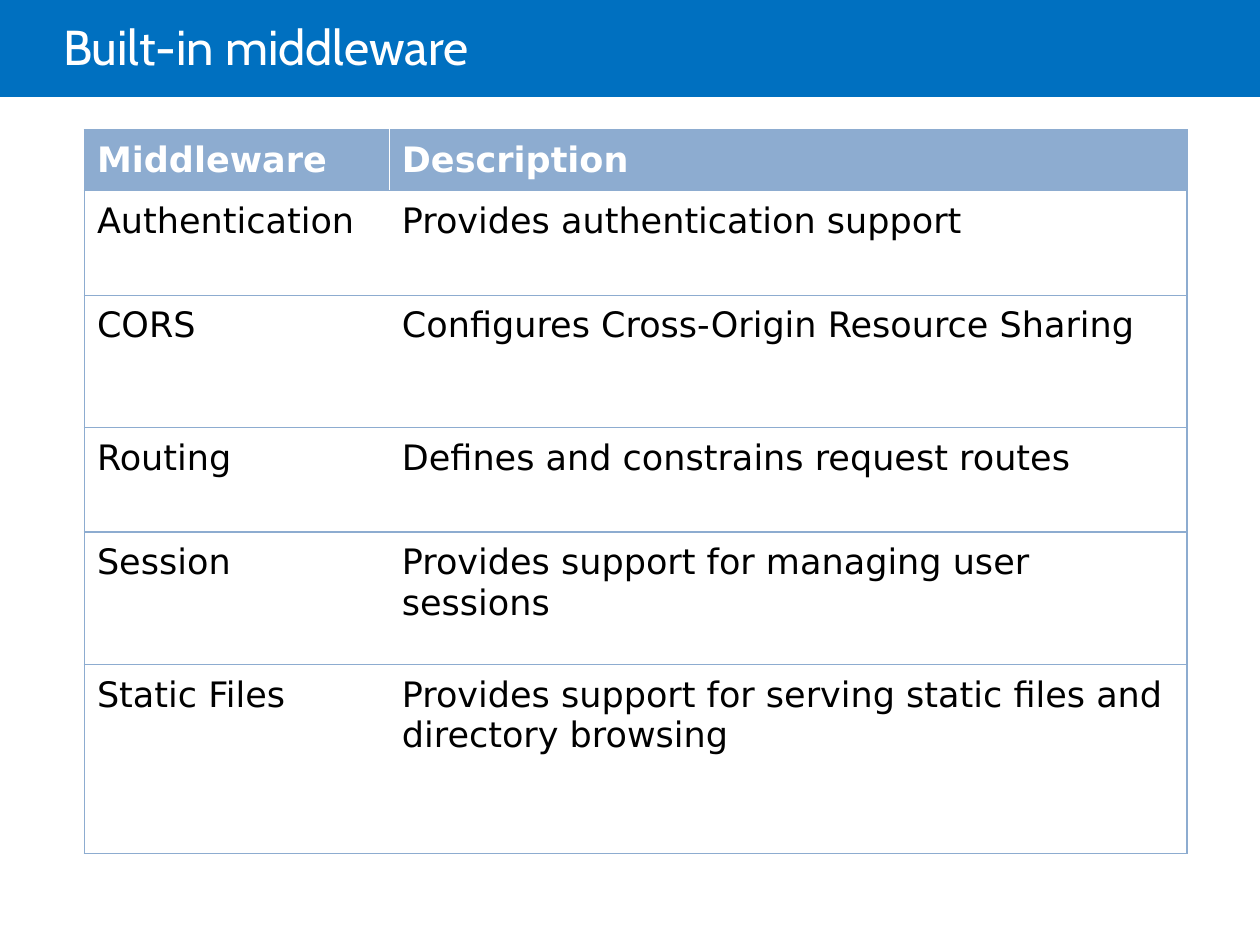
from lxml.etree import SubElement as Sub
from pptx import Presentation
from pptx.dml.color import RGBColor as RGB
from pptx.enum.shapes import MSO_SHAPE as Shape
from pptx.enum.text import MSO_ANCHOR as Anchor, PP_ALIGN as Align
from pptx.oxml.ns import qn
from pptx.util import Inches, Pt

HUE = {"band": "0070C0", "rule": "8DACD0", "white": "FFFFFF", "black": "000000"}
ROWS = [
    (0.48, "Middleware", "Description"),
    (0.83, "Authentication", "Provides authentication support"),
    (1.05, "CORS", "Configures Cross-Origin Resource Sharing"),
    (0.83, "Routing", "Defines and constrains request routes"),
    (1.05, "Session", "Provides support for managing user sessions"),
    (1.5, "Static Files",
     "Provides support for serving static files and directory browsing"),
]
COLS = [2.42, 6.33]


def style(font, name, size, hue, bold=False):
    font.name, font.size, font.bold = name, Pt(size), bold
    font.color.rgb = RGB.from_string(HUE[hue])


def border(cell, sides):
    props = cell._tc.get_or_add_tcPr()
    for side in sides:
        line = Sub(props, qn(f"a:ln{side}"), w=str(Pt(1)))
        fill = Sub(line, qn("a:solidFill"))
        Sub(fill, qn("a:srgbClr"), val=HUE["rule"])


deck = Presentation()
deck.slide_width, deck.slide_height = Inches(10), Inches(7.5)
slide = deck.slides.add_slide(deck.slide_layouts[5])

# Blue band, sent behind the title
band = slide.shapes.add_shape(Shape.RECTANGLE, 0, 0, Inches(10), Inches(0.77))
band.shadow.inherit = False
band.fill.solid()
band.fill.fore_color.rgb = RGB.from_string(HUE["band"])
band.line.fill.background()
slide.shapes._spTree.insert(2, band._element)

# Title
title = slide.shapes.title
title.left, title.top = Inches(0.5), Inches(0)
title.width, title.height = Inches(8.5), Inches(0.81)
frame = title.text_frame
frame.text = "Built-in middleware"
frame.margin_left = 0
frame.vertical_anchor = Anchor.MIDDLE
para = frame.paragraphs[0]
para.alignment = Align.LEFT
para.line_spacing = 0.85
style(para.font, "Cabin", 28, "white")

# Table
high = sum(row[0] for row in ROWS)
table = slide.shapes.add_table(
    len(ROWS), len(COLS), Inches(0.67), Inches(1.03),
    Inches(sum(COLS)), Inches(high)).table
table.horz_banding = False
for col, width in zip(table.columns, COLS):
    col.width = Inches(width)

for r, (height, *texts) in enumerate(ROWS):
    table.rows[r].height = Inches(height)
    head = r == 0
    for c, text in enumerate(texts):
        cell = table.cell(r, c)
        cell.text = text
        cell.margin_left = cell.margin_right = Inches(0.1)
        cell.margin_top = cell.margin_bottom = Inches(0.08)
        cell.vertical_anchor = Anchor.BOTTOM if head else Anchor.TOP
        border(cell, "RTB" if c else "LTB")
        cell.fill.solid()
        cell.fill.fore_color.rgb = RGB.from_string(HUE["rule" if head else "white"])
        style(cell.text_frame.paragraphs[0].font, "DejaVu Sans", 20,
              "white" if head else "black", head)

deck.save("out.pptx")
